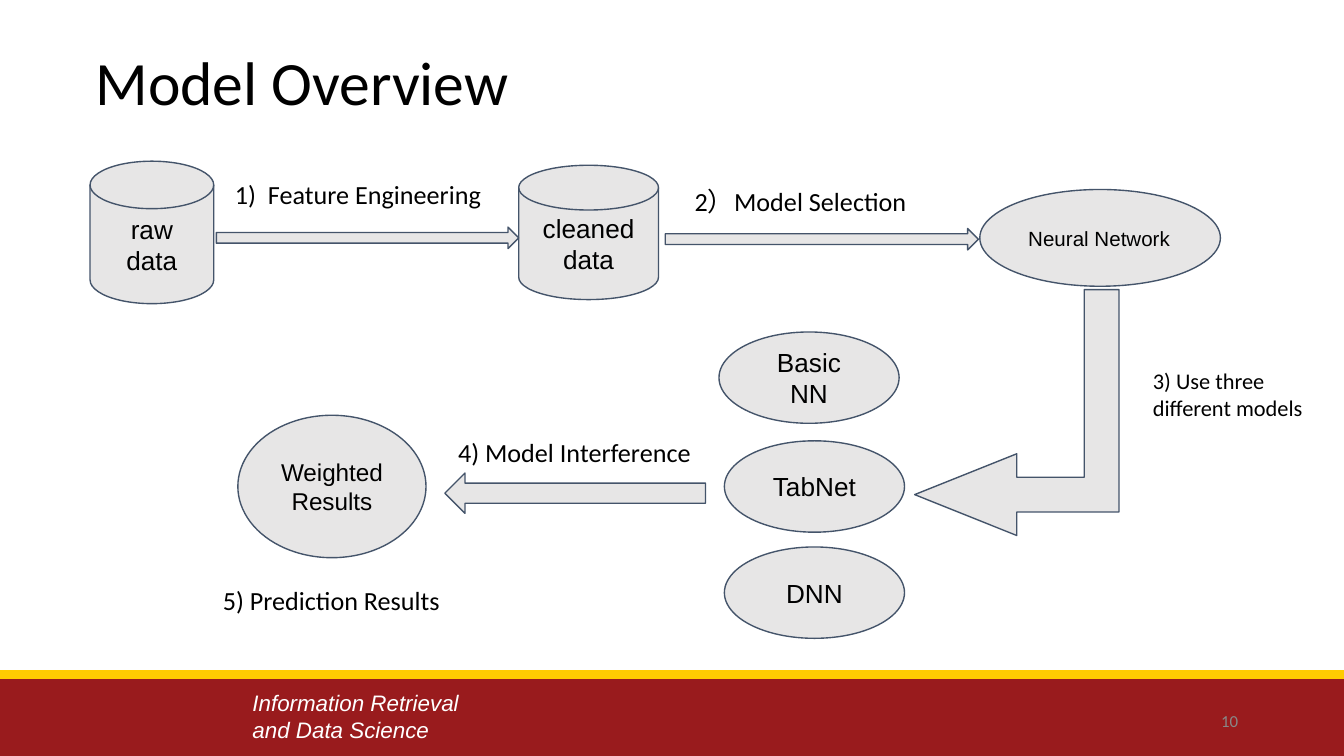
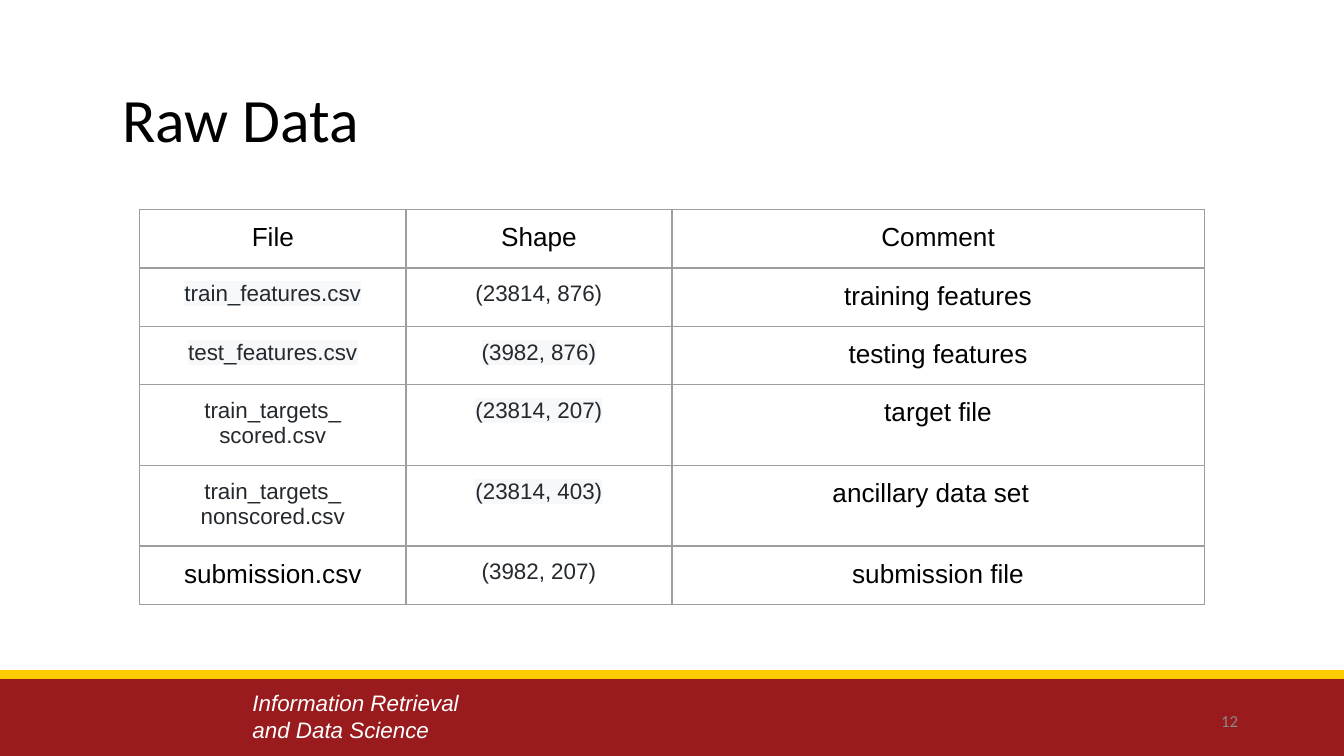
"""Build the model overview and raw data slides."""
import dataclasses

import lxml.etree
import pptx
import pptx.dml.color
import pptx.enum.shapes
import pptx.enum.text
import pptx.oxml.ns
import pptx.util

Inches = pptx.util.Inches
Pt = pptx.util.Pt
SHAPE = pptx.enum.shapes.MSO_SHAPE
ALIGN = pptx.enum.text.PP_ALIGN
ANCHOR = pptx.enum.text.MSO_ANCHOR
qn = pptx.oxml.ns.qn


@dataclasses.dataclass(frozen=True)
class Theme:
    """Colours, fonts and type sizes of the presentation."""

    band: str = "991B1D"
    stripe: str = "FFCC01"
    white: str = "FFFFFF"
    ink: str = "000000"
    number: str = "888888"
    node: str = "E7E6E6"
    outline: str = "44546A"
    grid: str = "9E9E9E"
    code: str = "24292E"
    highlight: str = "F6F8FA"
    heading_font: str = "Calibri"
    body_font: str = "Arial"
    title_size: int = 33
    body_size: int = 14
    weighted_size: int = 13
    small_size: int = 12
    network_size: int = 11
    number_size: int = 9


THEME = Theme()


def rgb(value):
    """Return a colour object for a hexadecimal string."""
    return pptx.dml.color.RGBColor.from_string(value)


def format_paragraph(paragraph, font, size, color, align=ALIGN.LEFT, italic=None):
    """Set the alignment and font of a paragraph."""
    paragraph.alignment = align
    paragraph.font.name = font
    paragraph.font.size = Pt(size)
    paragraph.font.color.rgb = rgb(color)
    paragraph.font.italic = italic


def fill_text(frame, text, font, size, color, align=ALIGN.LEFT,
              anchor=ANCHOR.TOP, margin_y=0.1, italic=None):
    """Write text into a frame, one paragraph a line."""
    frame.word_wrap = True
    frame.vertical_anchor = anchor
    frame.margin_left = frame.margin_right = Inches(0.1)
    frame.margin_top = frame.margin_bottom = Inches(margin_y)
    frame.text = text
    for paragraph in frame.paragraphs:
        format_paragraph(paragraph, font, size, color, align, italic)


def add_text(slide, box, text, font, size, color, **options):
    """Add a text box."""
    shape = slide.shapes.add_textbox(*map(Inches, box))
    fill_text(shape.text_frame, text, font, size, color, **options)


def add_label(slide, box, text, size=THEME.body_size):
    """Add the label of a step."""
    add_text(slide, box, text, THEME.heading_font, size, THEME.ink)


def add_block(slide, kind, box, fill=THEME.node, outline=THEME.outline):
    """Add a flat preset shape with an optional outline."""
    shape = slide.shapes.add_shape(kind, *map(Inches, box))
    shape.shadow.inherit = False
    shape.fill.solid()
    shape.fill.fore_color.rgb = rgb(fill)
    if outline:
        shape.line.color.rgb = rgb(outline)
        shape.line.width = Pt(0.75)
    else:
        shape.line.fill.background()
    return shape


def add_node(slide, kind, box, text, size=THEME.body_size, align=ALIGN.CENTER):
    """Add a shape that holds text."""
    shape = add_block(slide, kind, box)
    fill_text(shape.text_frame, text, THEME.body_font, size, THEME.ink,
              align=align, anchor=ANCHOR.MIDDLE)


def add_bent_arrow(slide, box):
    """Add the arrow that runs down and then turns left."""
    arrow = add_block(slide, SHAPE.BENT_UP_ARROW, box)
    for index, value in enumerate((0.17, 0.2, 0.5)):
        arrow.adjustments[index] = value
    arrow.rotation = 270
    arrow.element.spPr.get_or_add_xfrm().set("flipH", "1")


def add_footer(slide, number):
    """Add the band, its stripe, the course name and the slide number."""
    add_block(slide, SHAPE.RECTANGLE, (0, 5.02, 10, 0.61), THEME.band, None)
    add_text(slide, (1.78, 5.08, 1.79, 0.5),
             "Information Retrieval\nand Data Science", THEME.body_font,
             THEME.small_size, THEME.white, margin_y=0.05, italic=True)
    stripe = slide.shapes.add_connector(
        pptx.enum.shapes.MSO_CONNECTOR.STRAIGHT,
        *map(Inches, (0, 5.02, 10, 5.02)))
    stripe.line.color.rgb = rgb(THEME.stripe)
    stripe.line.width = Pt(4.5)
    lxml.etree.SubElement(stripe.element.spPr, qn("a:effectLst"))
    add_text(slide, (7.06, 5.21, 2.25, 0.3), str(number), THEME.heading_font,
             THEME.number_size, THEME.number, align=ALIGN.RIGHT,
             anchor=ANCHOR.MIDDLE, margin_y=0.05)


def add_slide(presentation, title, title_box, number):
    """Add a slide with its title and footer."""
    slide = presentation.slides.add_slide(presentation.slide_layouts[5])
    add_footer(slide, number)
    shape = slide.shapes.title
    shape.left, shape.top, shape.width, shape.height = map(Inches, title_box)
    fill_text(shape.text_frame, title, THEME.heading_font, THEME.title_size,
              THEME.ink, anchor=ANCHOR.MIDDLE, margin_y=0.05)
    shape.text_frame.auto_size = pptx.enum.text.MSO_AUTO_SIZE.NONE
    shape.text_frame.paragraphs[0].line_spacing = 0.9
    return slide


def add_borders(cell):
    """Draw a thin line on the four sides of a cell."""
    properties = cell._tc.get_or_add_tcPr()
    for side in ("lnL", "lnR", "lnT", "lnB"):
        line = lxml.etree.SubElement(properties, qn(f"a:{side}"), w=str(Pt(0.75)))
        fill = lxml.etree.SubElement(line, qn("a:solidFill"))
        lxml.etree.SubElement(fill, qn("a:srgbClr"), val=THEME.grid)


def highlight_text(frame):
    """Put the highlight colour behind every run of a frame."""
    for paragraph in frame.paragraphs:
        for run in paragraph.runs:
            mark = lxml.etree.SubElement(run._r.get_or_add_rPr(), qn("a:highlight"))
            lxml.etree.SubElement(mark, qn("a:srgbClr"), val=THEME.highlight)


def fill_cell(cell, text, style):
    """Write a cell in plain, code or marked code style."""
    cell.margin_left = cell.margin_right = Inches(0.1)
    cell.margin_top = cell.margin_bottom = Inches(0.1)
    cell.text = text
    size, color = ((THEME.body_size, THEME.ink) if style == "plain"
                   else (THEME.small_size, THEME.code))
    for paragraph in cell.text_frame.paragraphs:
        format_paragraph(paragraph, THEME.body_font, size, color, ALIGN.CENTER)
    if style == "marked":
        highlight_text(cell.text_frame)


def add_file_table(slide, box, rows):
    """Add the table of files, whose comments span two columns."""
    frame = slide.shapes.add_table(len(rows), 4, *map(Inches, box))
    table = frame.table
    table.first_row = table.horz_banding = False
    for row_index, row in enumerate(rows):
        table.rows[row_index].height = Inches(0.42)
        table.cell(row_index, 2).merge(table.cell(row_index, 3))
        for column_index in range(4):
            cell = table.cell(row_index, column_index)
            add_borders(cell)
            cell.fill.background()
        for column_index, (text, style) in enumerate(row):
            fill_cell(table.cell(row_index, column_index), text, style)
    frame.height = Inches(box[3])


def build_overview(presentation):
    """Build the slide that shows the steps of the model."""
    slide = add_slide(presentation, "Model Overview", (0.61, 0.28, 8.62, 0.72), 10)
    disk = SHAPE.FLOWCHART_MAGNETIC_DISK
    add_node(slide, disk, (0.67, 1.2, 0.92, 1.06), "raw data")
    add_node(slide, disk, (3.86, 1.23, 1.04, 1), "cleaned data")
    add_node(slide, SHAPE.OVAL, (7.29, 1.41, 1.79, 0.72), "Neural Network",
             THEME.network_size, ALIGN.LEFT)
    for left, top, text in ((5.35, 2.47, "Basic NN"), (5.39, 3.28, "TabNet"),
                            (5.39, 4.07, "DNN")):
        add_node(slide, SHAPE.OVAL, (left, top, 1.34, 0.68), text)
    add_node(slide, SHAPE.OVAL, (1.77, 3.09, 1.4, 1.06), "Weighted Results",
             THEME.weighted_size)

    add_block(slide, SHAPE.RIGHT_ARROW, (1.61, 1.69, 2.25, 0.16))
    add_block(slide, SHAPE.RIGHT_ARROW, (4.95, 1.7, 2.33, 0.16))
    add_bent_arrow(slide, (6.65, 2.31, 1.83, 1.52))
    add_block(slide, SHAPE.LEFT_ARROW, (3.31, 3.52, 1.94, 0.3))

    add_label(slide, (1.65, 1.23, 2.15, 0.4), "1)  Feature Engineering")
    add_label(slide, (5.07, 1.28, 1.98, 0.3), "2）Model Selection")
    add_label(slide, (8.48, 2.63, 1.4, 0.95), "3) Use three different models",
              THEME.small_size)
    add_label(slide, (3.31, 3.15, 2.46, 0.45), "4) Model Interference")
    add_label(slide, (1.56, 4.25, 1.9, 0.4), "5) Prediction Results")


def build_raw_data(presentation):
    """Build the slide that lists the data files."""
    slide = add_slide(presentation, "Raw Data", (0.81, 0.5, 8.62, 0.82), 12)
    rows = (
        (("File", "plain"), ("Shape", "plain"), ("Comment", "plain")),
        (("train_features.csv", "marked"), ("(23814, 876)", "code"),
         ("training features", "plain")),
        (("test_features.csv", "marked"), ("(3982, 876)", "marked"),
         ("testing features", "plain")),
        (("train_targets_\nscored.csv", "code"), ("(23814, 207)", "marked"),
         ("target file", "plain")),
        (("train_targets_\nnonscored.csv", "code"), ("(23814, 403)", "marked"),
         ("ancillary data set  ", "plain")),
        (("submission.csv", "plain"), ("(3982, 207)", "code"),
         ("submission file", "plain")),
    )
    add_file_table(slide, (1.04, 1.56, 7.92, 2.93), rows)


def main():
    """Build and save the presentation."""
    presentation = pptx.Presentation()
    presentation.slide_width = Inches(10)
    presentation.slide_height = presentation.slide_width * 9 // 16
    build_overview(presentation)
    build_raw_data(presentation)
    presentation.save("out.pptx")


if __name__ == "__main__":
    main()
